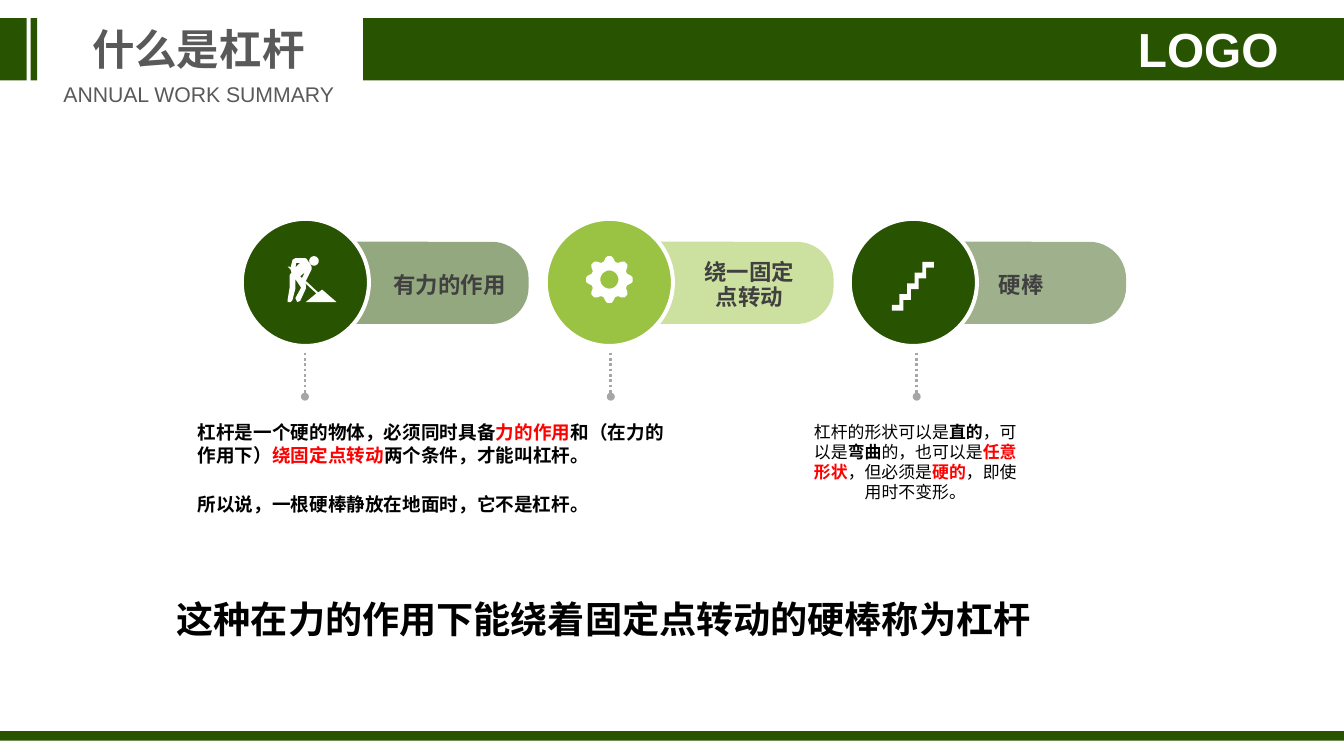
from dataclasses import dataclass
from math import cos, pi, sin
from typing import NamedTuple

from lxml.etree import SubElement
from pptx import Presentation
from pptx.dml.color import RGBColor
from pptx.enum.dml import MSO_LINE
from pptx.enum.shapes import MSO_CONNECTOR, MSO_SHAPE
from pptx.enum.text import MSO_ANCHOR, PP_ALIGN
from pptx.oxml.ns import qn
from pptx.slide import Slide
from pptx.util import Emu, Pt

EMU_PER_PX = 9144
OUTLINE_STEPS = 10

Point = tuple[float, float]
Contour = list[Point]


@dataclass(frozen=True)
class Theme:
    dark: str = "285301"
    light: str = "9AC343"
    white: str = "FFFFFF"
    black: str = "000000"
    red: str = "FF0000"
    label: str = "404040"
    heading: str = "595959"
    pin: str = "A6A6A6"
    logo_size: float = 36
    title_size: float = 32
    conclusion_size: float = 28
    label_size: float = 16.9
    subtitle_size: float = 16
    body_size: float = 14
    note_size: float = 12.7
    sans: str = "Arial"
    serif: str = "Times New Roman"
    body: str = "Calibri"


class Box(NamedTuple):
    left: int
    top: int
    width: int
    height: int


class Span(NamedTuple):
    text: str
    color: str = "000000"
    bold: bool = False


class Feature(NamedTuple):
    label: str
    color: str
    opacity: int
    pill_width: int
    label_left: int
    label_width: int
    align: PP_ALIGN


THEME = Theme()

FEATURES = [
    Feature("有力的作用", THEME.dark, 50, 234, 395, 146, PP_ALIGN.CENTER),
    Feature("绕一固定点转动", THEME.light, 50, 233, 725, 113, PP_ALIGN.CENTER),
    Feature("硬棒", THEME.dark, 45, 219, 1040, 113, PP_ALIGN.LEFT),
]

BARS = [Box(380, 19, 1026, 65), Box(0, 19, 28, 65), Box(32, 19, 7, 65), Box(0, 765, 1406, 10)]

WORKER_BODY = [
    (309, 270), (306, 272), (304, 280), (303, 279), (301, 279), (302, 280), (304, 282),
    (305, 285), (303, 288), (303, 301), (301, 313), (301, 316), (304, 316), (306, 314),
    (309, 302), (309, 292), (315, 301), (309, 312), (311, 316), (314, 315), (320, 302),
    (320, 298), (319, 296), (331, 307), (320, 316), (352, 316), (337, 303), (333, 306),
    (320, 294), (326, 282), (326, 279), (321, 271), (319, 270),
]
WORKER_GAPS = [[(310, 275), (314, 275), (309, 280)], [(319, 285), (316, 291), (314, 289)]]
GEAR_TOOTH = [(19.4, -18), (22.9, -10), (24.5, -5), (24.5, 5), (22.9, 10), (19.4, 18)]


def px(length: float) -> Emu:
    return Emu(round(length * EMU_PER_PX))


def add_shape(page: Slide, kind: MSO_SHAPE, box: Box, color: str, opacity: int = 100):
    shape = page.shapes.add_shape(kind, *map(px, box))
    shape.shadow.inherit = False
    shape.fill.solid()
    shape.fill.fore_color.rgb = RGBColor.from_string(color)
    shape.line.fill.background()
    if opacity < 100:
        tint = shape.fill._xPr.find(qn("a:solidFill"))[0]
        SubElement(tint, qn("a:alpha")).set("val", str(opacity * 1000))
    return shape


def add_text(page: Slide, box: Box, spans: list[Span], *, size: float, font: str,
             align: PP_ALIGN = PP_ALIGN.LEFT, spacing: float = 1.0, wrap: bool = True,
             anchor: MSO_ANCHOR = MSO_ANCHOR.TOP,
             insets: tuple[int, int, int, int] = (10, 5, 10, 5)) -> None:
    frame = page.shapes.add_textbox(*map(px, box)).text_frame
    frame.word_wrap = wrap
    frame.vertical_anchor = anchor
    (frame.margin_left, frame.margin_top,
     frame.margin_right, frame.margin_bottom) = map(px, insets)
    para = frame.paragraphs[0]
    para.alignment = align
    para.line_spacing = spacing
    for span in spans:
        run = para.add_run()
        run.text = span.text
        run.font.size = Pt(size)
        run.font.name = font
        run.font.bold = span.bold
        run.font.color.rgb = RGBColor.from_string(span.color)


def add_icon(page: Slide, contours: list[Contour]) -> None:
    scaled = [[(x * OUTLINE_STEPS, y * OUTLINE_STEPS) for x, y in contour] for contour in contours]
    builder = page.shapes.build_freeform(*scaled[0][0], scale=EMU_PER_PX / OUTLINE_STEPS)
    builder.add_line_segments(scaled[0][1:], close=True)
    for contour in scaled[1:]:
        builder.move_to(*contour[0])
        builder.add_line_segments(contour[1:], close=True)
    icon = builder.convert_to_shape()
    icon.shadow.inherit = False
    icon.fill.solid()
    icon.fill.fore_color.rgb = RGBColor.from_string(THEME.white)
    icon.line.fill.background()


def polar(center: Point, radius: float, degrees: float) -> Point:
    angle = degrees * pi / 180
    return center[0] + radius * cos(angle), center[1] + radius * sin(angle)


def circle(center: Point, radius: float) -> Contour:
    return [polar(center, radius, degrees) for degrees in range(0, 360, 15)]


def gear(center: Point) -> list[Contour]:
    rim = [polar(center, radius, turn + offset)
           for turn in range(0, 360, 45) for radius, offset in GEAR_TOOTH]
    return [rim, circle(center, 9.5)]


def stairs(left: float, bottom: float) -> list[Contour]:
    run, rise, steps = 8, 11.25, 5
    upper = [(left + run * (step + side), bottom - 6 - rise * step)
             for step in range(steps) for side in (0, 1)]
    upper[-1] = (left + run * steps + 4, upper[-1][1])
    lower = [(left + 12 + run * (step + side), bottom - rise * step)
             for step in range(steps - 1, -1, -1) for side in (0, -1)]
    lower[-1] = (left, bottom)
    return [upper + lower]


def add_pin(page: Slide, x: int) -> None:
    pin = page.shapes.add_connector(MSO_CONNECTOR.STRAIGHT, px(x), px(369), px(x), px(415))
    pin.line.color.rgb = RGBColor.from_string(THEME.pin)
    pin.line.width = Pt(2)
    pin.line.dash_style = MSO_LINE.ROUND_DOT
    SubElement(pin.line._get_or_add_ln(), qn("a:tailEnd")).set("type", "oval")
    SubElement(pin._element.spPr, qn("a:effectLst"))


def add_feature(page: Slide, index: int, feature: Feature) -> None:
    pill_left = 319 + 320 * index
    pill = add_shape(page, MSO_SHAPE.ROUNDED_RECTANGLE,
                     Box(pill_left, 253, feature.pill_width, 86), feature.color, feature.opacity)
    pill.adjustments[0] = 0.45
    disc = add_shape(page, MSO_SHAPE.OVAL, Box(253 + 318 * index, 229, 133, 133), feature.color)
    disc.line.color.rgb = RGBColor.from_string(THEME.white)
    disc.line.width = Pt(3)
    add_text(page, Box(feature.label_left, 277, feature.label_width, 44),
             [Span(feature.label, THEME.label, True)], size=THEME.label_size, font=THEME.serif,
             align=feature.align, spacing=0.9, anchor=MSO_ANCHOR.MIDDLE, insets=(5, 0, 0, 0))
    add_pin(page, pill_left)


def main() -> None:
    deck = Presentation()
    deck.slide_width, deck.slide_height = px(1406), px(791)
    page = deck.slides.add_slide(deck.slide_layouts[6])

    for bar in BARS:
        add_shape(page, MSO_SHAPE.RECTANGLE, bar, THEME.dark)
    add_text(page, Box(85, 19, 245, 64), [Span("什么是杠杆", THEME.heading, True)],
             size=THEME.title_size, font=THEME.sans, align=PP_ALIGN.CENTER, wrap=False)
    add_text(page, Box(55, 80, 306, 37), [Span("ANNUAL WORK SUMMARY", THEME.heading)],
             size=THEME.subtitle_size, font=THEME.sans, align=PP_ALIGN.CENTER, wrap=False)
    add_text(page, Box(1160, 21, 208, 61), [Span("LOGO", THEME.white, True)],
             size=THEME.logo_size, font=THEME.sans, align=PP_ALIGN.CENTER, insets=(0, 0, 0, 0))

    for index, feature in enumerate(FEATURES):
        add_feature(page, index, feature)
    add_icon(page, [WORKER_BODY, *WORKER_GAPS, circle((328.5, 273), 5)])
    add_icon(page, gear((637.5, 292.5)))
    add_icon(page, stairs(933, 325))

    add_text(page, Box(197, 436, 522, 57), [
        Span("杠杆是一个硬的物体，必须同时具备", bold=True), Span("力的作用", THEME.red, True),
        Span("和（在力的作用下）", bold=True), Span("绕固定点转动", THEME.red, True),
        Span("两个条件，才能叫杠杆。", bold=True),
    ], size=THEME.body_size, font=THEME.body)
    add_text(page, Box(197, 511, 522, 34), [Span("所以说，一根硬棒静放在地面时，它不是杠杆。", bold=True)],
             size=THEME.body_size, font=THEME.body)
    add_text(page, Box(835, 436, 245, 95), [
        Span("杠杆的形状可以是"), Span("直的", bold=True), Span("，可以是"), Span("弯曲", bold=True),
        Span("的，也可以是"), Span("任意形状", THEME.red, True), Span("，但必须是"),
        Span("硬的", THEME.red, True), Span("，即使用时不变形。"),
    ], size=THEME.note_size, font=THEME.serif, align=PP_ALIGN.CENTER)
    add_text(page, Box(175, 596, 1055, 72),
             [Span("这种在力的作用下能绕着固定点转动的硬棒称为杠杆", THEME.black, True)],
             size=THEME.conclusion_size, font=THEME.serif, align=PP_ALIGN.JUSTIFY, spacing=1.5)

    deck.save("out.pptx")


if __name__ == "__main__":
    main()
